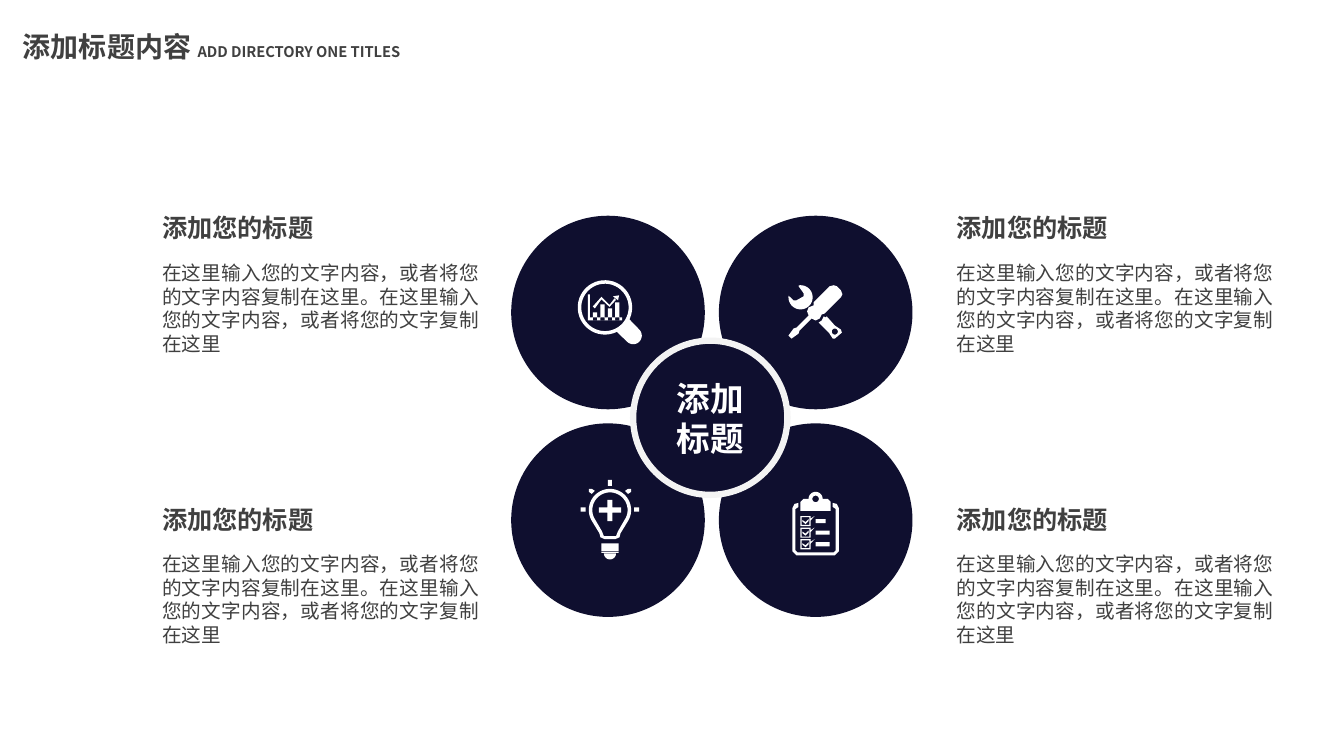
"""Build a slide with four icon petals around a hub and a text block beside each."""
import math
from itertools import product

from lxml import etree
from pptx import Presentation
from pptx import util as u
from pptx.dml.color import RGBColor
from pptx.enum import shapes, text
from pptx.oxml.ns import qn

COLOURS = {"navy": "0F0F2F", "ink": "404040", "white": "FFFFFF", "rim": "F3F3F3"}
FONT = "Noto Sans CJK SC"
COLUMNS, ROWS, CELL = 133.3, 75, 0.1
HEADING = "添加您的标题"
BODY = "在这里输入您的文字内容，或者将您的文字内容复制在这里。在这里输入您的文字内容，或者将您的文字复制在这里"


def cells(count):
    """Turn a number of grid cells into a length."""
    return u.Inches(count * CELL)


def arc(x, y, radius, start=0, end=360):
    """Return points along a clockwise arc, angles in degrees."""
    steps = max(6, round(abs(end - start) / 8))
    angles = [math.radians(start + (end - start) * i / steps) for i in range(steps + 1)]
    return [(x + radius * math.cos(a), y + radius * math.sin(a)) for a in angles]


def rect(x, y, width, height):
    """Return the corners of a rectangle."""
    return [(x, y), (x + width, y), (x + width, y + height), (x, y + height)]


def flip(points):
    """Mirror points left to right."""
    return [(-x, y) for x, y in reversed(points)]


def magnifier():
    """Return the outlines of a magnifying glass over a chart."""
    handle = arc(0, 0, 2.7, 26, 64) + arc(2.8, 2.8, 0.85, 135, -45)
    axes = [(-1.7, -1.3), (-1.5, -1.3), (-1.5, 1), (1.7, 1), (1.7, 1.3), (-1.7, 1.3)]
    trend = [(-1.2, -0.1), (-0.35, -1.05), (0.45, -0.25), (0.95, -0.9),
             (1.1, -0.75), (0.45, -0.05), (-0.35, -0.8), (-1, 0.1)]
    tip = [(0.8, -1.1), (1.4, -1.2), (1.3, -0.7)]
    tops = [0.5, -0.3, 0.1, -0.5]
    bars = [rect(-1.2 + 0.74 * i, top, 0.42, 1.3 - top) for i, top in enumerate(tops)]
    return [arc(0, 0, 2.7), arc(0, 0, 2.35), handle, axes, trend, tip, *bars]


def tools():
    """Return the outlines of a crossed wrench and screwdriver."""
    head = arc(-1.5, -1.5, 1.2, -98, 188) + [
        (-2.2, -1.2), (-1.9, -1.2), (-1.2, -1.6), (-1.2, -1.9), (-1.7, -2.6)]
    driver = [(2.5, -2.2), (2.1, -2.6), (1.8, -2.7), (1.4, -2.6), (-0.2, -1),
              (-0.2, -0.7), (-0.7, -0.5), (-0.85, -0.1), (-0.7, 0.3), (-1.9, 1.5),
              (-2.2, 1.6), (-2.7, 2.3), (-2.4, 2.6), (-1.7, 2.1), (-1.6, 1.8),
              (-0.4, 0.6), (0, 0.8), (0.4, 0.6), (0.6, 0.2), (0.9, 0.1),
              (2.5, -1.5), (2.65, -1.8)]
    grip = [(0.8, 0.4), (0.6, 0.8), (0.3, 1), (1.3, 2), (1.7, 2.6), (1.9, 2.6),
            (2.6, 2), (2.5, 1.7), (1.9, 1.3), (1.1, 0.4), (1, 0.5)]
    return [head, driver, grip, arc(1.9, 1.9, 0.3)]


def bulb():
    """Return the outlines of a glowing light bulb with a plus."""
    neck = [(1.05, 2.3), (0.95, 2.7), (0.5, 2.9)]
    throat = [(0.8, 2.1), (0.6, 2.6)]
    outer = arc(0, 0, 2.1, 145, 395) + neck + flip(neck)
    inner = arc(0, 0, 1.75, 145, 395) + throat + flip(throat)
    arm = [(0.25, -1), (0.25, -0.25), (1.1, -0.25), (1.1, 0.25), (0.25, 0.25), (0.25, 1.1)]
    ray = [(1.8, -1.6), (2.1, -1.8), (2.1, -2.1), (1.8, -2.1), (1.5, -1.9)]
    side = rect(2.4, -0.25, 0.5, 0.4)
    base = [rect(-0.85, 3.3, 1.7, 0.75), rect(-0.85, 4.12, 1.7, 0.13), arc(0, 4.3, 0.6, 0, 180)]
    return [outer, inner, arm + flip(arm), ray, flip(ray), side, flip(side),
            rect(-0.2, -3, 0.4, 0.6), *base]


def clipboard():
    """Return the outlines of a clipboard with a checklist."""
    half = [(0, 2.8), (-1.8, 2.8), (-2, 2.6), (-2, -1.5), (-1.7, -1.7), (-1.7, -2.1),
            (-2.1, -2), (-2.3, -1.6), (-2.3, 2.7), (-1.9, 3.1), (0, 3.1)]
    shoulder = [(1.2, -2.5), (1.5, -2.2), (1.5, -1.3)]
    outlines = [half + flip(half), arc(0, -2.5, 0.7, 180, 360) + shoulder + flip(shoulder),
                arc(0, -2.5, 0.32)]
    tick = [(-1.3, 0.4), (-1, 0.6), (-0.7, 0.3), (-0.7, 0.5), (-1, 0.8), (-1.3, 0.55)]
    tail = [(-0.5, 0.25), (-0.1, 0), (-0.5, 0.45)]
    for row, width in enumerate([1, 1.4, 1.4]):
        top = -0.8 + 1.15 * row
        item = [rect(-1.5, 0, 1, 1), rect(-1.38, 0.12, 0.76, 0.76), tick, tail,
                rect(0, 0.3, width, 0.4)]
        outlines += [[(x, y + top) for x, y in outline] for outline in item]
    return outlines


class Page:
    """Hold the style and the current slide."""

    def __init__(self, deck):
        """Add a title-only slide to the deck."""
        self.slide = deck.slides.add_slide(deck.slide_layouts[5])
        self.shapes = self.slide.shapes

    def add_span(self, para, words, size, colour="ink", bold=False):
        """Add one run to a paragraph."""
        span = para.add_run()
        span.text = words
        span.font.name, span.font.size, span.font.bold = FONT, u.Pt(size), bold
        span.font.color.rgb = RGBColor.from_string(COLOURS[colour])
        etree.SubElement(span.font._element, qn("a:ea")).set("typeface", FONT)

    def frame(self, box, align):
        """Set up a wrapping frame and return its first paragraph."""
        box.text_frame.word_wrap = True
        box.text_frame.auto_size = text.MSO_AUTO_SIZE.SHAPE_TO_FIT_TEXT
        box.text_frame.vertical_anchor = text.MSO_ANCHOR.TOP
        para = box.text_frame.paragraphs[0]
        para.alignment = align
        return para

    def title(self, x, y, width, height, spans):
        """Place the title and fill it with runs of words and size."""
        box = self.shapes.title
        box.left, box.top, box.width, box.height = map(cells, (x, y, width, height))
        para = self.frame(box, text.PP_ALIGN.CENTER)
        for words, size in spans:
            self.add_span(para, words, size, bold=True)

    def note(self, x, y, width, height, words, size, align, bold=False):
        """Add a text box with one paragraph."""
        box = self.shapes.add_textbox(*map(cells, (x, y, width, height)))
        self.add_span(self.frame(box, align), words, size, bold=bold)

    def paint(self, shape, fill, line=None, weight=0):
        """Set the fill and line of a shape."""
        shape.shadow.inherit = False
        shape.fill.solid()
        shape.fill.fore_color.rgb = RGBColor.from_string(COLOURS[fill])
        if line:
            shape.line.color.rgb = RGBColor.from_string(COLOURS[line])
            shape.line.width = u.Pt(weight)
        else:
            shape.line.fill.background()

    def circle(self, x, y, size, line=None, weight=0):
        """Add a navy circle by its centre and diameter."""
        corner = (x - size / 2, y - size / 2, size, size)
        shape = self.shapes.add_shape(shapes.MSO_SHAPE.OVAL, *map(cells, corner))
        self.paint(shape, "navy", line, weight)
        return shape

    def icon(self, x, y, outlines):
        """Draw outlines around a centre as one white freeform."""
        placed = [[(cells(x + dx), cells(y + dy)) for dx, dy in outline] for outline in outlines]
        builder = self.shapes.build_freeform(*placed[0][0])
        builder.add_line_segments(placed[0][1:], close=True)
        for outline in placed[1:]:
            builder.move_to(*outline[0])
            builder.add_line_segments(outline[1:], close=True)
        self.paint(builder.convert_to_shape(), "white")


def main():
    """Build and save the deck."""
    deck = Presentation()
    deck.slide_width, deck.slide_height = cells(COLUMNS), cells(ROWS)
    page = Page(deck)
    page.title(0, 2.4, 42, 4.4, [("添加标题内容 ", 20), ("ADD DIRECTORY ONE TITLES", 10.5)])
    for x, y in product([60.3, 80.9], [31, 51.6]):
        page.circle(x, y, 19.2)
    for x, y, outlines in [(60, 30.5, magnifier()), (80.9, 31, tools()),
                           (60.5, 50.6, bulb()), (80.9, 52, clipboard())]:
        page.icon(x, y, outlines)
    for x, y in product([15.1, 93.9], [20.6, 49.5]):
        page.note(x, y, 33.4, 4.2, HEADING, 18, text.PP_ALIGN.LEFT, bold=True)
        page.note(x, y + 4.8, 33.4, 10.5, BODY, 14, text.PP_ALIGN.JUSTIFY)
    hub = page.circle(70.45, 41.45, 15.3, "rim", 4.5)
    hub.text_frame.word_wrap = True
    hub.text_frame.vertical_anchor = text.MSO_ANCHOR.MIDDLE
    para = hub.text_frame.paragraphs[0]
    para.alignment = text.PP_ALIGN.CENTER
    page.add_span(para, "添加标题", 24, "white", True)
    deck.save("out.pptx")


if __name__ == "__main__":
    main()
